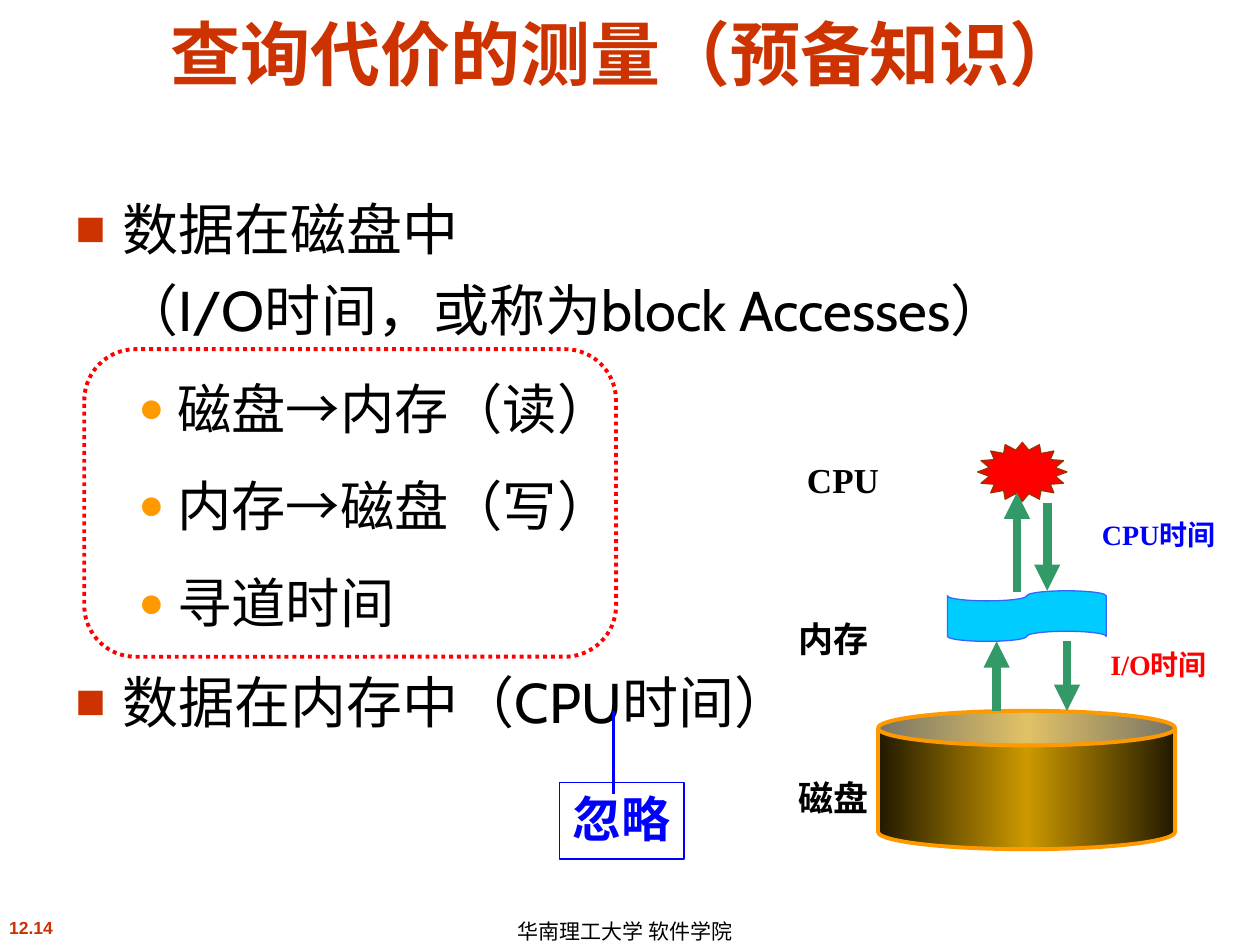
import copy

import pptx
import pptx.dml.color
import pptx.enum.dml
import pptx.enum.shapes
import pptx.enum.text
import pptx.oxml.ns
import pptx.util

Cm = pptx.util.Cm
Pt = pptx.util.Pt
RGBColor = pptx.dml.color.RGBColor
MSO_SHAPE = pptx.enum.shapes.MSO_SHAPE
PP_ALIGN = pptx.enum.text.PP_ALIGN
MSO_ANCHOR = pptx.enum.text.MSO_ANCHOR
qn = pptx.oxml.ns.qn

BLACK = RGBColor(0x00, 0x00, 0x00)
RUST = RGBColor(0xCC, 0x33, 0x00)
ORANGE = RGBColor(0xFF, 0x99, 0x00)
RED = RGBColor(0xFF, 0x00, 0x00)
BLUE = RGBColor(0x00, 0x00, 0xFF)
GREEN = RGBColor(0x33, 0x99, 0x66)
CYAN = RGBColor(0x00, 0xCC, 0xFF)
TAPE_EDGE = RGBColor(0x33, 0x66, 0xFF)
STAR_EDGE = RGBColor(0x99, 0x33, 0x00)
GOLD = RGBColor(0xCC, 0x99, 0x00)
DARK_GOLD = RGBColor(0x21, 0x19, 0x00)

SERIF = "Times New Roman"


def set_font(p, name, size, color, bold=False):
    p.font.name = name
    p.font.size = Pt(size)
    p.font.color.rgb = color
    p.font.bold = bold


def add_label(slide, x, y, w, h, text, name, size, color, bold=True,
              align=PP_ALIGN.CENTER, anchor=MSO_ANCHOR.TOP, wrap=True):
    tf = slide.shapes.add_textbox(Cm(x), Cm(y), Cm(w), Cm(h)).text_frame
    tf.word_wrap = wrap
    tf.vertical_anchor = anchor
    p = tf.paragraphs[0]
    p.text = text
    p.alignment = align
    set_font(p, name, size, color, bold)
    return p


def add_outline(slide, kind, x, y, w, h, line, width, fill=None):
    sp = slide.shapes.add_shape(kind, Cm(x), Cm(y), Cm(w), Cm(h))
    sp.shadow.inherit = False
    sp.line.color.rgb = line
    sp.line.width = Pt(width)
    if fill is None:
        sp.fill.background()
    else:
        sp.fill.solid()
        sp.fill.fore_color.rgb = fill
    return sp


def add_line(slide, x, y1, y2, color, width, arrow=False):
    """Draw a vertical line, with an arrowhead at y2 if asked."""
    line = slide.shapes.add_connector(
        pptx.enum.shapes.MSO_CONNECTOR.STRAIGHT, Cm(x), Cm(y1), Cm(x), Cm(y2))
    line.line.color.rgb = color
    line.line.width = Pt(width)
    sp_pr = line._element.spPr
    if arrow:
        ln = sp_pr.find(qn("a:ln"))
        ln.append(ln.makeelement(qn("a:tailEnd"), {"type": "triangle"}))
    sp_pr.append(sp_pr.makeelement(qn("a:effectLst"), {}))


def add_bullet(p, char, color, percent, margin, hanging):
    p_pr = p._p.get_or_add_pPr()
    p_pr.set("marL", str(Cm(margin)))
    p_pr.set("indent", str(-Cm(hanging)))
    bu_clr = p_pr.makeelement(qn("a:buClr"), {})
    bu_clr.append(p_pr.makeelement(qn("a:srgbClr"), {"val": str(color)}))
    p_pr.append(bu_clr)
    p_pr.append(p_pr.makeelement(qn("a:buSzPct"), {"val": str(percent * 1000)}))
    p_pr.append(p_pr.makeelement(qn("a:buFont"), {"typeface": "Arial"}))
    p_pr.append(p_pr.makeelement(qn("a:buChar"), {"char": char}))


def add_body(slide, x, y, w, h):
    items = [
        (0, "数据在磁盘中\n（I/O时间，或称为block Accesses）"),
        (1, "磁盘→内存（读）"),
        (1, "内存→磁盘（写）"),
        (1, "寻道时间"),
        (0, "数据在内存中（CPU时间）"),
    ]
    bullets = [("■", RUST, 90, 0.95, 0.95), ("●", ORANGE, 80, 2.06, 0.79)]
    sizes = [32, 31]
    tf = slide.shapes.add_textbox(Cm(x), Cm(y), Cm(w), Cm(h)).text_frame
    tf.word_wrap = True
    for i, (level, text) in enumerate(items):
        p = tf.add_paragraph() if i else tf.paragraphs[0]
        p.text = text
        p.level = level
        p.line_spacing = 1.2
        if i:
            p.space_before = Pt(11)
        add_bullet(p, *bullets[level])
        set_font(p, "Cabin", sizes[level], BLACK)


def add_callout(slide, x, y, w, h):
    """Place the boxed remark at the foot of the area, its line above."""
    box_h = 1.55
    sp = add_outline(slide, MSO_SHAPE.RECTANGLE, x, y + h - box_h, w, box_h,
                     BLUE, 0.75)
    tf = sp.text_frame
    tf.word_wrap = False
    tf.vertical_anchor = MSO_ANCHOR.TOP
    p = tf.paragraphs[0]
    p.text = "忽略"
    p.alignment = PP_ALIGN.CENTER
    set_font(p, SERIF, 28, BLUE, True)
    add_line(slide, x + 1.09, y, y + 1.67, BLUE, 2)


def add_disk(slide, x, y, w, h):
    sp = add_outline(slide, MSO_SHAPE.CAN, x, y, w, h, ORANGE, 2.25)
    sp.adjustments[0] = 0.25
    sp.fill.gradient()
    sp.fill.gradient_angle = 0
    gs_lst = sp._element.spPr.find(qn("a:gradFill")).find(qn("a:gsLst"))
    gs_lst.insert(1, copy.deepcopy(gs_lst[0]))
    stops = zip(sp.fill.gradient_stops, (0, 0.5, 1), (DARK_GOLD, GOLD, DARK_GOLD))
    for stop, position, color in stops:
        stop.position = position
        stop.color.rgb = color


def add_storage_diagram(slide, x, y):
    add_disk(slide, x + 2.2, y + 5.43, 5.99, 2.79)
    add_outline(slide, MSO_SHAPE.FLOWCHART_PUNCHED_TAPE, x + 3.6, y + 3.01,
                3.2, 1.02, TAPE_EDGE, 0.75, CYAN)
    star = add_outline(slide, MSO_SHAPE.STAR_16_POINT, x + 4.21, y + 0.02,
                       1.8, 1.19, STAR_EDGE, 0.75, RED)
    star.adjustments[0] = 0.375
    for dx, start, end in [(5, 3.04, 1.03), (5.61, 1.23, 3.01),
                           (4.59, 5.43, 4.03), (6.01, 4.03, 5.43)]:
        add_line(slide, x + dx, y + start, y + end, GREEN, 5, arrow=True)
    for dx, dy, w, text, size, color in [
            (0.2, 0.22, 2.59, "CPU", 20, BLACK),
            (0, 3.42, 2.59, "内存", 20, BLACK),
            (0, 6.62, 2.59, "磁盘", 20, BLACK),
            (5.53, 1.41, 4.65, "CPU时间", 16, BLUE),
            (5.81, 4.03, 4.09, "I/O时间", 16, RED)]:
        add_label(slide, x + dx, y + dy, w, 1.09, text, SERIF, size, color)


def add_footer(slide, y):
    add_label(slide, -0.1, y, 1.45, 0.69, "12.14", "Arial", 10, RUST, wrap=False)
    p = add_label(slide, 10.19, y + 0.06, 5.69, 0.64, "华南理工大学 软件学院",
                  "Arial", 12, BLACK, bold=False, align=PP_ALIGN.LEFT,
                  anchor=MSO_ANCHOR.MIDDLE, wrap=False)
    p.line_spacing = 1.1


def main():
    prs = pptx.Presentation()
    prs.slide_width = Cm(25.4)
    prs.slide_height = Cm(19.05)
    slide = prs.slides.add_slide(prs.slide_layouts[6])
    add_footer(slide, 18.36)
    add_label(slide, 0.64, 0.33, 23.93, 1.7, "查询代价的测量（预备知识）",
              "Cabin", 40, RUST, anchor=MSO_ANCHOR.BOTTOM)
    add_body(slide, 1.27, 3.53, 24.13, 12.57)
    add_storage_diagram(slide, 15.5, 8.9)
    add_callout(slide, 11.28, 14.33, 2.51, 2.99)
    frame = add_outline(slide, MSO_SHAPE.ROUNDED_RECTANGLE, 1.7, 7.04,
                        10.72, 6.2, RED, 2.25)
    frame.line.dash_style = pptx.enum.dml.MSO_LINE.ROUND_DOT
    prs.save("out.pptx")


if __name__ == "__main__":
    main()
